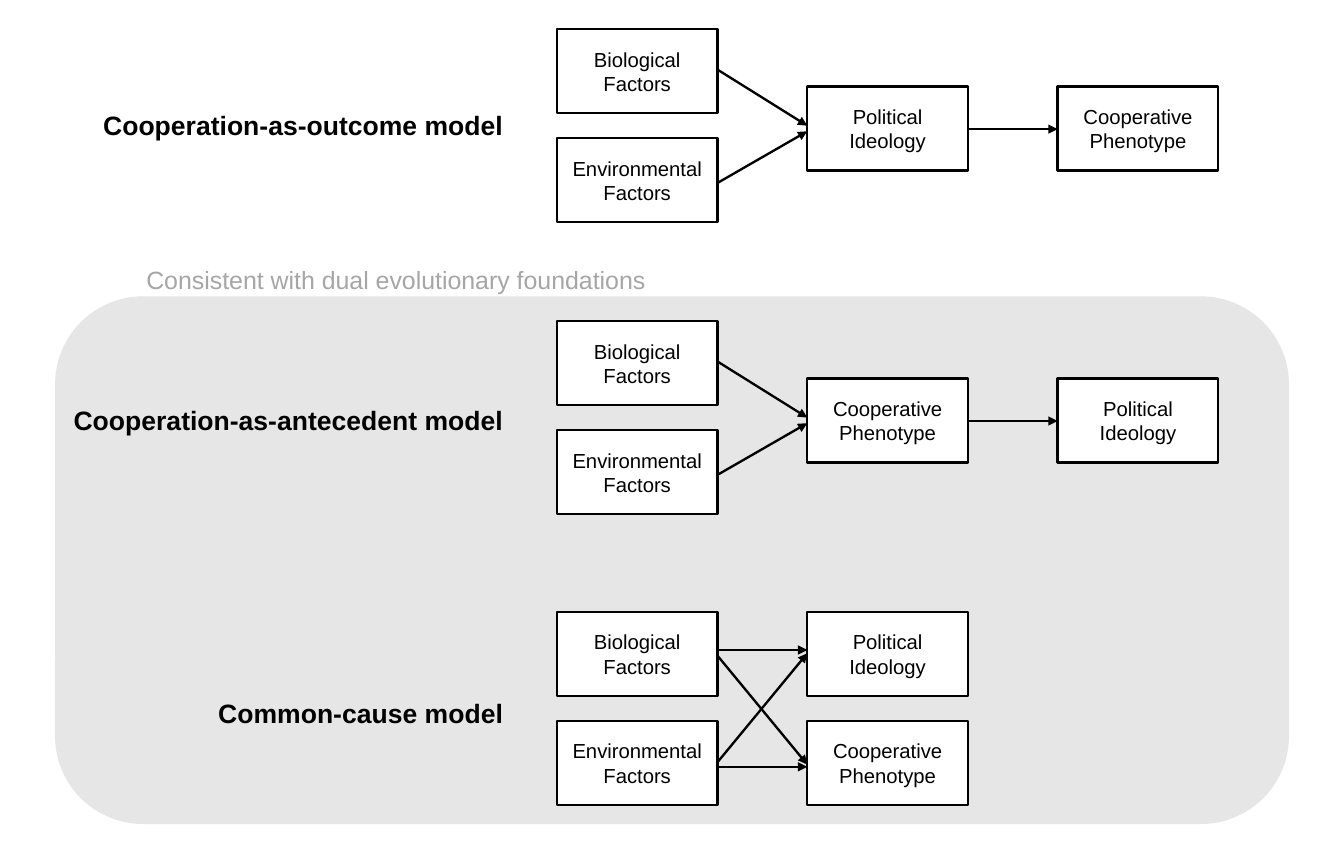
from lxml import etree
from pptx import Presentation
from pptx.dml.color import RGBColor
from pptx.enum.shapes import MSO_CONNECTOR, MSO_SHAPE
from pptx.enum.text import MSO_ANCHOR, PP_ALIGN
from pptx.oxml.ns import qn
from pptx.util import Inches, Pt

BLACK = RGBColor(0x00, 0x00, 0x00)
WHITE = RGBColor(0xFF, 0xFF, 0xFF)
PANEL_GRAY = RGBColor(0xE6, 0xE6, 0xE6)
CAPTION_GRAY = RGBColor(0xA6, 0xA6, 0xA6)
RECTANGLE = MSO_SHAPE.RECTANGLE
ROUNDED = MSO_SHAPE.ROUNDED_RECTANGLE
STRAIGHT = MSO_CONNECTOR.STRAIGHT
MIDDLE = MSO_ANCHOR.MIDDLE
CENTER = PP_ALIGN.CENTER
RIGHT = PP_ALIGN.RIGHT

BOX_WIDTH, BOX_HEIGHT = 1.43, 0.75
CAUSE_LEFT, MIDDLE_LEFT, OUTCOME_LEFT = 4.96, 7.19, 9.42
UPPER, CENTERED, LOWER = 0, 0.51, 0.97

BIOLOGICAL = "Biological Factors"
ENVIRONMENTAL = "Environmental Factors"
IDEOLOGY = "Political Ideology"
PHENOTYPE = "Cooperative Phenotype"


class Diagram:
    font = "Arial"
    line_width = Pt(1.5)

    def __init__(self, slide):
        self.slide = slide

    def add_text(self, frame, text, size, color, alignment, bold=False):
        frame.word_wrap = True
        paragraph = frame.paragraphs[0]
        paragraph.alignment = alignment
        run = paragraph.add_run()
        run.text = text
        run.font.name = self.font
        run.font.size = Pt(size)
        run.font.bold = bold
        run.font.color.rgb = color

    def shape(self, kind, left, top, width, height, fill):
        shape = self.slide.shapes.add_shape(
            kind, Inches(left), Inches(top), Inches(width), Inches(height))
        shape.shadow.inherit = False
        shape.fill.solid()
        shape.fill.fore_color.rgb = fill
        return shape

    def panel(self, left, top, width, height):
        self.shape(ROUNDED, left, top, width, height, PANEL_GRAY).line.fill.background()

    def box(self, left, top, text):
        box = self.shape(RECTANGLE, left, top, BOX_WIDTH, BOX_HEIGHT, WHITE)
        box.line.color.rgb = BLACK
        box.line.width = self.line_width
        box.text_frame.vertical_anchor = MIDDLE
        self.add_text(box.text_frame, text, 13, BLACK, CENTER)

    def label(self, left, top, width, height, text, size, color, bold=False):
        label = self.slide.shapes.add_textbox(
            Inches(left), Inches(top), Inches(width), Inches(height))
        self.add_text(label.text_frame, text, size, color, RIGHT, bold)

    def arrow(self, source_left, start, target_left, end):
        arrow = self.slide.shapes.add_connector(
            STRAIGHT, Inches(source_left + BOX_WIDTH), Inches(start),
            Inches(target_left), Inches(end))
        arrow.line.color.rgb = BLACK
        arrow.line.width = self.line_width
        properties = arrow._element.spPr
        etree.SubElement(properties.find(qn("a:ln")), qn("a:tailEnd"), type="triangle")
        etree.SubElement(properties, qn("a:effectLst"))

    def model(self, top, title_top, title, boxes, arrows):
        self.label(0.5, title_top, 4.08, 0.39, title, 17, BLACK, True)
        causes = [(CAUSE_LEFT, UPPER, BIOLOGICAL), (CAUSE_LEFT, LOWER, ENVIRONMENTAL)]
        for left, offset, text in causes + boxes:
            self.box(left, top + offset, text)
        for source_left, start, target_left, end in arrows:
            self.arrow(source_left, top + start, target_left, top + end)


def chain(middle, outcome):
    return [(MIDDLE_LEFT, CENTERED, middle), (OUTCOME_LEFT, CENTERED, outcome)]


CHAIN_ARROWS = [
    (CAUSE_LEFT, 0.36, MIDDLE_LEFT, 0.86),
    (CAUSE_LEFT, 1.37, MIDDLE_LEFT, 0.91),
    (MIDDLE_LEFT, 0.89, OUTCOME_LEFT, 0.89),
]
CROSSED_BOXES = [(MIDDLE_LEFT, UPPER, IDEOLOGY), (MIDDLE_LEFT, LOWER, PHENOTYPE)]
CROSSED_ARROWS = [
    (CAUSE_LEFT, start, MIDDLE_LEFT, end)
    for start, end in [(0.34, 0.34), (1.34, 0.37), (0.39, 1.36), (1.38, 1.38)]
]
MODELS = [
    (0.26, 0.92, "Cooperation-as-outcome model", chain(IDEOLOGY, PHENOTYPE), CHAIN_ARROWS),
    (2.86, 3.55, "Cooperation-as-antecedent model", chain(PHENOTYPE, IDEOLOGY), CHAIN_ARROWS),
    (5.45, 6.16, "Common-cause model", CROSSED_BOXES, CROSSED_ARROWS),
]

presentation = Presentation()
presentation.slide_width = Inches(11.97)
presentation.slide_height = Inches(7.5)
diagram = Diagram(presentation.slides.add_slide(presentation.slide_layouts[6]))

diagram.panel(0.49, 2.64, 10.99, 4.7)
for model in MODELS:
    diagram.model(*model)
diagram.label(0.52, 2.31, 5.33, 0.37, "Consistent with dual evolutionary foundations",
              16, CAPTION_GRAY)

presentation.save("out.pptx")
